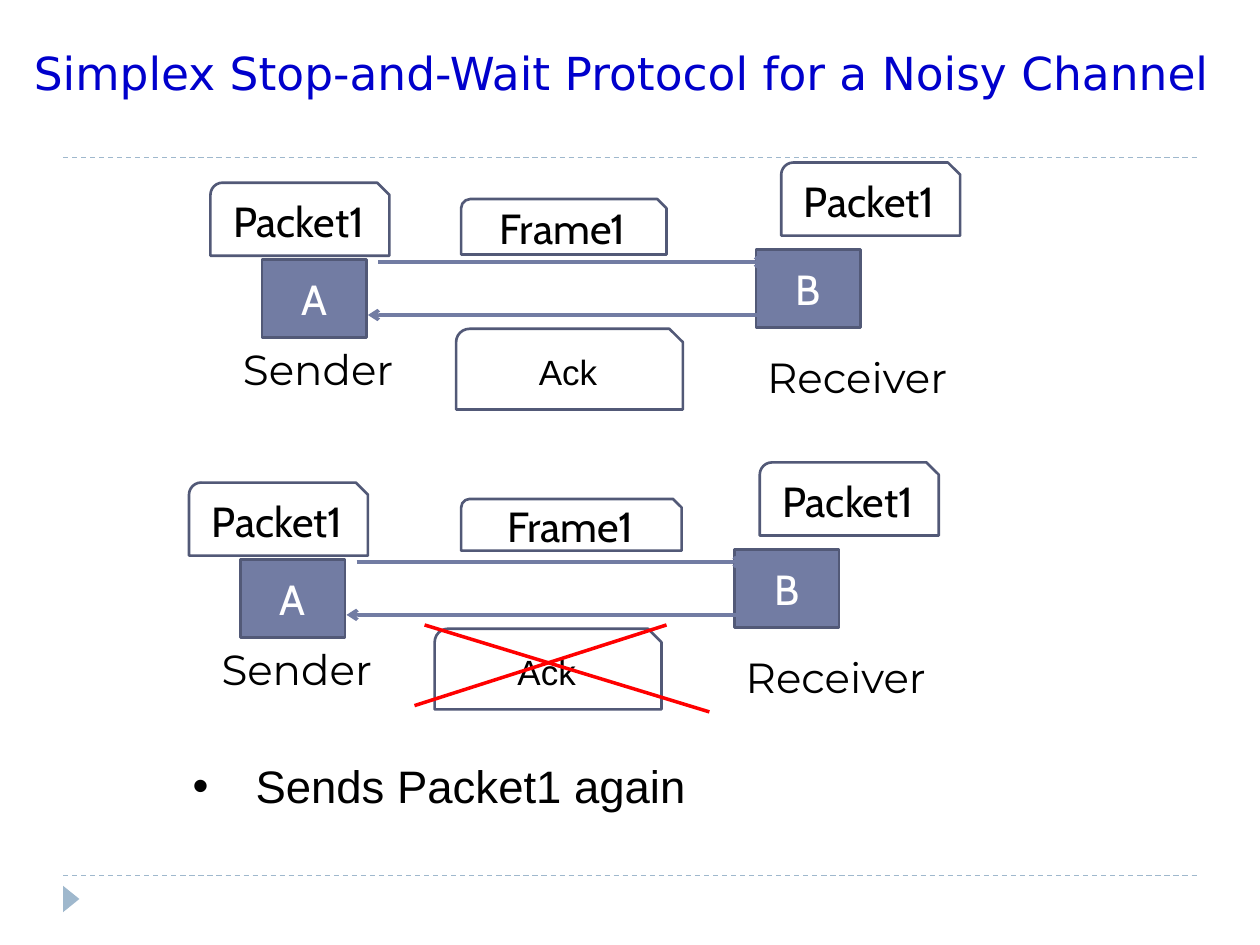
from lxml import etree
from pptx import Presentation
from pptx.dml.color import RGBColor
from pptx.enum import dml, shapes, text
from pptx.oxml.ns import qn
from pptx.util import Inches, Pt

BLACK = RGBColor(0, 0, 0)
WHITE = RGBColor(255, 255, 255)
BLUE = RGBColor(0x00, 0x00, 0xCC)
RED = RGBColor(255, 0, 0)
SLATE = RGBColor(0x72, 0x7C, 0xA3)
OUTLINE = RGBColor(0x52, 0x59, 0x77)
PALE = RGBColor(0x9F, 0xB8, 0xCD)

TITLE = "Simplex Stop-and-Wait Protocol for a Noisy Channel"
BULLET = "Sends Packet1 again"

# Each exchange: offset of the diagram, then the place of its frame label
EXCHANGES = [
    ((0, 0), (3.66, 1.58, 1.63, 0.44)),
    ((-0.17, 2.38), (3.66, 3.96, 1.75, 0.41)),
]
# Places within the first exchange: left, top, width, height
NODES = [("A", (2.08, 2.06, 0.83, 0.62)), ("B", (6, 1.98, 0.83, 0.62))]
ARROWS = [(3, 2.08, 6.08, 2.08), (6.08, 2.5, 2.92, 2.5)]
ROLES = [("Sender", (1.83, 2.68, 1.58, 0.5)),
         ("Receiver", (5.99, 2.74, 1.83, 0.5))]
CARDS = [("Ack", (3.62, 2.61, 1.8, 0.64), 20, "Arial"),
         ("Packet1", (6.2, 1.29, 1.42, 0.58), 24, "Cabin"),
         ("Packet1", (1.67, 1.45, 1.42, 0.58), 24, "Cabin")]
CROSS = [(3.37, 4.96, 5.63, 5.65), (5.29, 4.96, 3.29, 5.6)]
RULES = [6.95, 1.25]

deck = Presentation()
deck.slide_width, deck.slide_height = Inches(10), Inches(7.5)
page = deck.slides.add_slide(deck.slide_layouts[6])


def write(box, words, size, font, color, align=text.PP_ALIGN.LEFT):
    box.text_frame.word_wrap = True
    para = box.text_frame.paragraphs[0]
    para.alignment = align
    span = para.add_run()
    span.text = words
    span.font.size, span.font.name = Pt(size), font
    span.font.color.rgb = color
    return para


def add_text(place, words, size, font, color):
    box = page.shapes.add_textbox(*map(Inches, place))
    return box, write(box, words, size, font, color)


def add_box(kind, place, fill=None, line=None):
    box = page.shapes.add_shape(kind, *map(Inches, place))
    box.shadow.inherit = False
    if fill is None:
        box.fill.background()
    else:
        box.fill.solid()
        box.fill.fore_color.rgb = fill
    if line is None:
        box.line.fill.background()
    else:
        box.line.color.rgb, box.line.width = line, Pt(1.5)
    return box


def add_card(place, words, size, font):
    box = add_box(shapes.MSO_SHAPE.SNIP_ROUND_RECTANGLE, place, line=OUTLINE)
    box.text_frame.vertical_anchor = text.MSO_ANCHOR.MIDDLE
    write(box, words, size, font, BLACK, text.PP_ALIGN.CENTER)


def add_line(ends, color, width, arrow=False):
    line = page.shapes.add_connector(shapes.MSO_CONNECTOR.STRAIGHT,
                                     *map(Inches, ends))
    line.line.color.rgb, line.line.width = color, Pt(width)
    if arrow:
        etree.SubElement(line.line._get_or_add_ln(), qn("a:tailEnd"), type="arrow")
    etree.SubElement(line._element.spPr, qn("a:effectLst"))
    return line


def shift(place, offset):
    return (place[0] + offset[0], place[1] + offset[1], *place[2:])


# Rules and corner marker
for y in RULES:
    add_line((0.5, y, 9.5, y), PALE, 0.75).line.dash_style = dml.MSO_LINE.DASH
marker = add_box(shapes.MSO_SHAPE.ISOSCELES_TRIANGLE, (0.46, 7.07, 0.21, 0.13), PALE)
marker.rotation = 90

# Both exchanges
for offset, frame_place in EXCHANGES:
    for name, place in NODES:
        node = add_box(shapes.MSO_SHAPE.RECTANGLE, shift(place, offset), SLATE, OUTLINE)
        node.text_frame.vertical_anchor = text.MSO_ANCHOR.MIDDLE
        write(node, name, 24, "Cabin", WHITE, text.PP_ALIGN.CENTER)
    for ends in ARROWS:
        add_line(shift(ends[:2], offset) + shift(ends[2:], offset), SLATE, 2, True)
    for role, place in ROLES:
        add_text(shift(place, offset), role, 24, "Montserrat", BLACK)
    for words, place, size, font in CARDS:
        add_card(shift(place, offset), words, size, font)
    add_card(frame_place, "Frame1", 24, "Cabin")

# Cross over the lost acknowledgement
for ends in CROSS:
    add_line(ends, RED, 2)

# Bullet
_, para = add_text((1.43, 5.97, 4.99, 0.54), BULLET, 26, "Arial", BLACK)
props = para._p.get_or_add_pPr()
props.set("marL", str(Inches(0.5)))
props.set("indent", str(Inches(-0.5)))
etree.SubElement(props, qn("a:buFont"), typeface="Arial")
etree.SubElement(props, qn("a:buChar"), char="•")

# Title
title, _ = add_text((0.17, 0.17, 9.67, 0.67), TITLE, 26, "DejaVu Sans", BLUE)
title.text_frame.vertical_anchor = text.MSO_ANCHOR.BOTTOM

deck.save("out.pptx")
